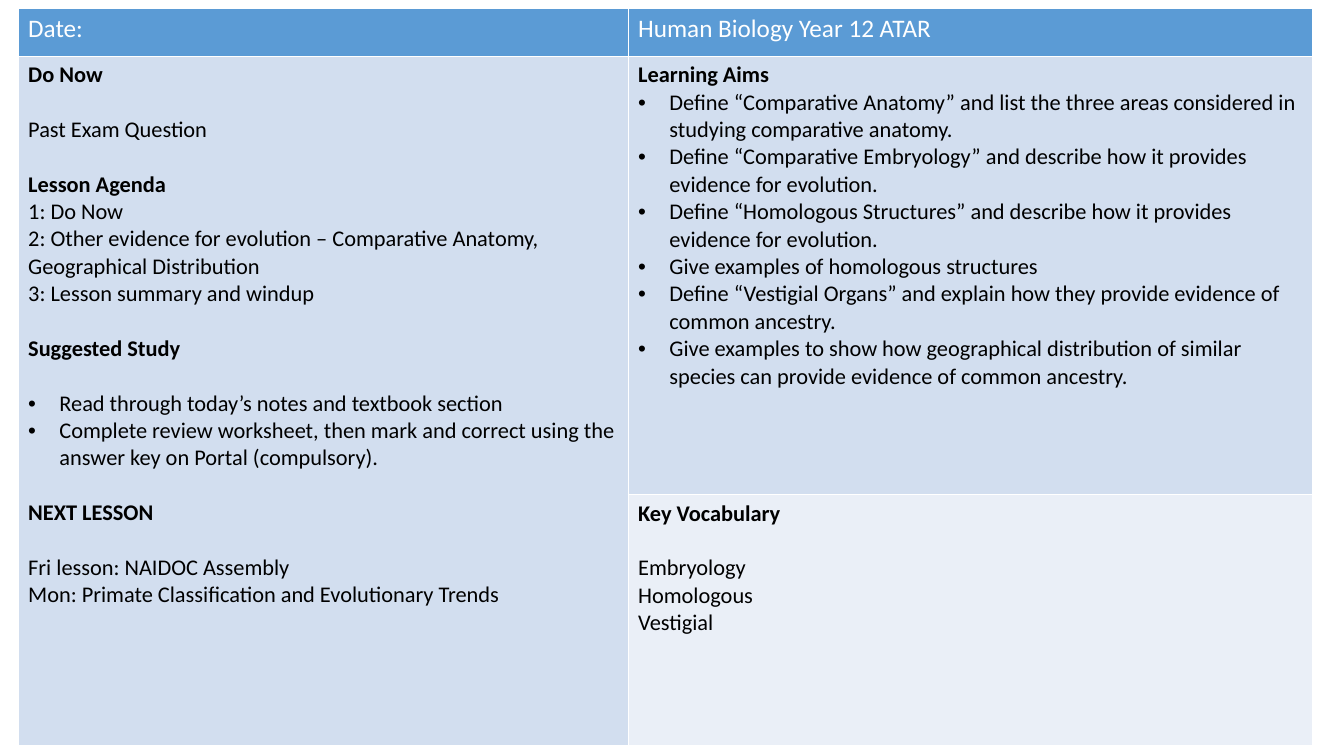
from lxml import etree
from pptx import Presentation
from pptx.dml.color import RGBColor
from pptx.oxml import ns
from pptx.util import Inches, Pt

COLORS = {"header": "5B9BD5", "band": "D2DEEF", "pale": "EAEFF7",
          "border": "FFFFFF", "light": "FFFFFF", "dark": "000000"}
COLUMNS = [6.05, 6.79]
ROWS = [0.48, 4.35, 2.49]
BLANK_LINE = 19.5

HEADERS = ["Date:", "Human Biology Year 12 ATAR"]
PLAN = [
    ("Do Now", "heading"),
    ("Past Exam Question", "spaced"),
    ("Lesson Agenda", "heading"),
    ("1: Do Now", "plain"),
    ("2: Other evidence for evolution – Comparative Anatomy, Geographical Distribution", "plain"),
    ("3: Lesson summary and windup", "plain"),
    ("Suggested Study", "heading"),
    ("Read through today’s notes and textbook section", "spaced bullet"),
    ("Complete review worksheet, then mark and correct using the answer key on Portal (compulsory).", "bullet"),
    ("NEXT LESSON", "heading"),
    ("Fri lesson: NAIDOC Assembly", "spaced"),
    ("Mon: Primate Classification and Evolutionary Trends", "plain"),
]
AIMS = [
    ("Learning Aims", "heading"),
    ("Define “Comparative Anatomy” and list the three areas considered in studying comparative anatomy.", "bullet"),
    ("Define “Comparative Embryology” and describe how it provides evidence for evolution.", "bullet"),
    ("Define “Homologous Structures” and describe how it provides evidence for evolution.", "bullet"),
    ("Give examples of homologous structures", "bullet"),
    ("Define “Vestigial Organs” and explain how they provide evidence of common ancestry.", "bullet"),
    ("Give examples to show how geographical distribution of similar species can provide evidence of common ancestry.", "bullet"),
]
VOCABULARY = [
    ("Key Vocabulary", "heading"),
    ("Embryology", "spaced"),
    ("Homologous", "plain"),
    ("Vestigial", "plain"),
]


def add_bullet(para):
    """Give a paragraph a hanging round bullet."""
    props = para._p.get_or_add_pPr()
    props.set("marL", str(Inches(0.31)))
    props.set("indent", str(-Inches(0.31)))
    etree.SubElement(props, ns.qn("a:buFont"), typeface="Arial")
    etree.SubElement(props, ns.qn("a:buChar"), char="•")


def style_cell(cell, fill):
    """Draw white borders round a cell and fill it."""
    props = cell._tc.get_or_add_tcPr()
    for side in "LRTB":
        line = etree.SubElement(props, ns.qn(f"a:ln{side}"), w=str(Pt(1)))
        solid = etree.SubElement(line, ns.qn("a:solidFill"))
        etree.SubElement(solid, ns.qn("a:srgbClr"), val=COLORS["border"])
    cell.fill.solid()
    cell.fill.fore_color.rgb = RGBColor.from_string(COLORS[fill])


def write_cell(cell, lines, size=16, color="dark"):
    """Write styled lines into a cell, one paragraph each."""
    frame = cell.text_frame
    for index, (words, style) in enumerate(lines):
        para = frame.add_paragraph() if index else frame.paragraphs[0]
        para.text = words
        if index and ("heading" in style or "spaced" in style):
            para.space_before = Pt(BLANK_LINE)
        if "bullet" in style:
            add_bullet(para)
        para.font.name = "Calibri"
        para.font.size = Pt(size)
        para.font.bold = style == "heading"
        para.font.color.rgb = RGBColor.from_string(COLORS[color])


def add_lesson_table(page):
    """Add the lesson grid with the plan spanning two rows."""
    table = page.shapes.add_table(
        len(ROWS), len(COLUMNS), Inches(0.18), Inches(0.08),
        Inches(sum(COLUMNS)), Inches(sum(ROWS))).table
    for column, width in zip(table.columns, COLUMNS):
        column.width = Inches(width)
    for row, height in zip(table.rows, ROWS):
        row.height = Inches(height)
    for row, fill in enumerate(["header", "band", "pale"]):
        for column in range(len(COLUMNS)):
            merged = row == 2 and column == 0
            style_cell(table.cell(row, column), "band" if merged else fill)
    table.cell(1, 0).merge(table.cell(2, 0))
    for column, words in enumerate(HEADERS):
        write_cell(table.cell(0, column), [(words, "plain")], 18, "light")
    write_cell(table.cell(1, 0), PLAN)
    write_cell(table.cell(1, 1), AIMS)
    write_cell(table.cell(2, 1), VOCABULARY)


def main():
    """Build the lesson slide and save it."""
    deck = Presentation()
    deck.slide_width = Inches(13.33)
    deck.slide_height = Inches(7.5)
    page = deck.slides.add_slide(deck.slide_layouts[6])
    add_lesson_table(page)
    deck.save("out.pptx")


if __name__ == "__main__":
    main()
